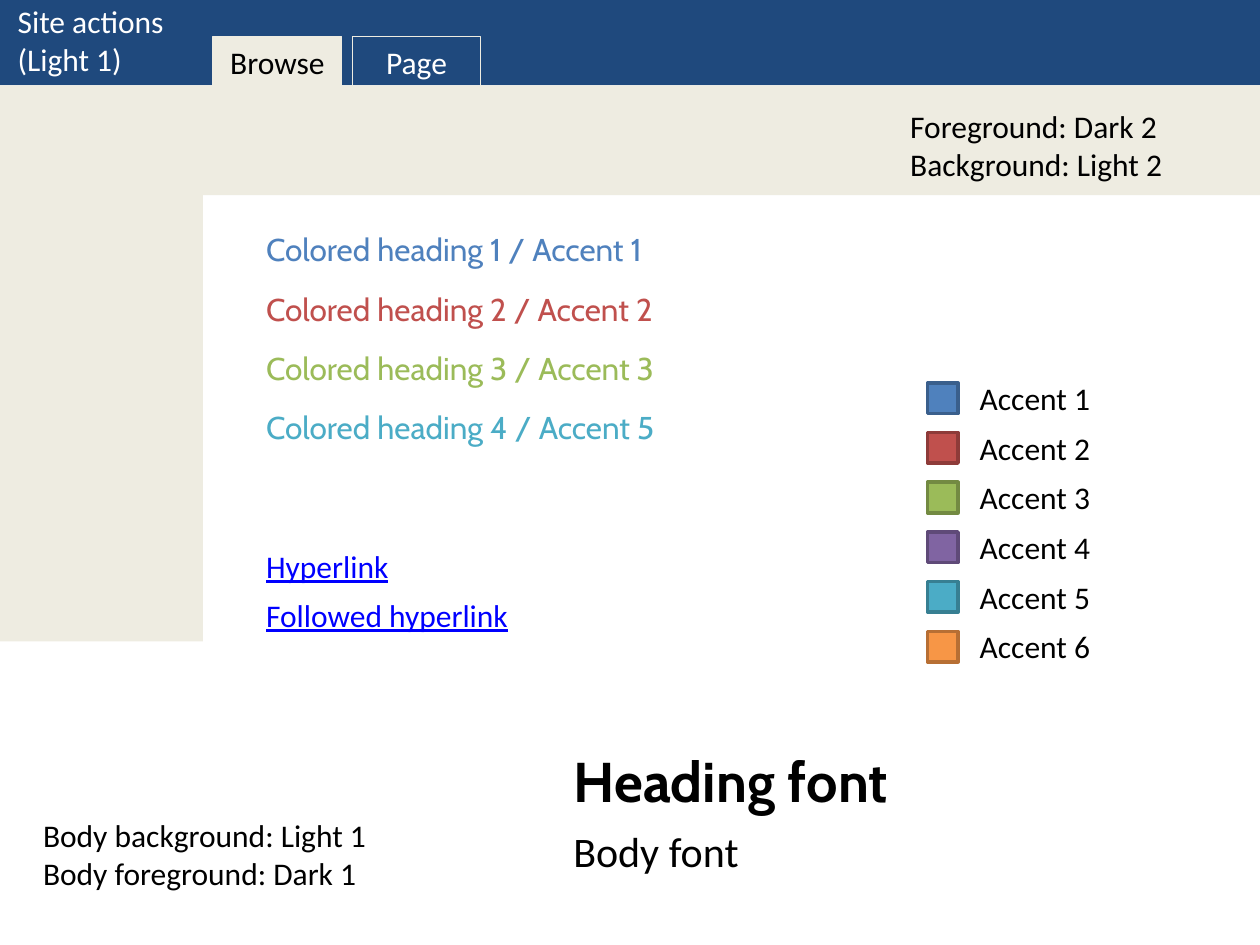
from pptx import Presentation
from pptx.dml.color import RGBColor
from pptx.enum.shapes import MSO_SHAPE as SHAPE
from pptx.enum.text import MSO_ANCHOR as ANCHOR, MSO_AUTO_SIZE as FIT, PP_ALIGN as ALIGN
from pptx.util import Pt

BODY, HEADING = "Calibri", "Cabin"
COLORS = {
    "dark1": "000000", "light1": "FFFFFF", "dark2": "1F497D", "light2": "EEECE1",
    "accent1": "4F81BD", "accent2": "C0504D", "accent3": "9BBB59",
    "accent4": "8064A2", "accent5": "4BACC6", "accent6": "F79646",
    "edge1": "3A5F8C", "edge2": "8E3B39", "edge3": "738A42",
    "edge4": "5F4A78", "edge5": "377F92", "edge6": "B76F34",
    "link": "0000FF",
}

# Boxes are (left, top, width, height) in points
BANDS = [
    ("dark2", (0, 0, 720, 48.75)),
    ("light2", (0, 48.75, 720, 62.75)),
    ("light2", (0, 111.5, 116, 255)),
]
NOTES = [
    (["Foreground: Dark 2", "Background: Light 2"], "dark1", (513, 57.5, 176, 51)),
    (["Site actions", "(Light 1)"], "light1", (3, -2.25, 102, 51)),
    (["Body background: Light 1", "Body foreground: Dark 1"], "dark1", (17.5, 463, 275, 51)),
]
HEADINGS = [
    ("Colored heading 1 / Accent 1", "accent1"),
    ("Colored heading 2 / Accent 2", "accent2"),
    ("Colored heading 3 / Accent 3", "accent3"),
    ("Colored heading 4 / Accent 5", "accent5"),
]
LINKS = ["Hyperlink", "Followed hyperlink"]
TABS = [("Browse", "light2", "dark1"), ("Page", None, "light1")]
ACCENT_COUNT = 6

ROW = 29
COLUMN_LEFT = 145
HEADING_TOP, HEADING_STEP = 128, 33.9
LINK_TOP, LINK_STEP = 308.75, 28.25
LEGEND_TOP, LEGEND_STEP = 213, 28.4
TAB_LEFT, TAB_STEP = 121.75, 79.5


def rgb(name):
    """Return the named colour."""
    return RGBColor.from_string(COLORS[name])


def place(sp, box):
    """Move and size a shape."""
    sp.left, sp.top, sp.width, sp.height = map(Pt, box)


def write(sp, lines, color, size=18, font=BODY, bold=False, underline=False,
          align=ALIGN.LEFT, anchor=ANCHOR.TOP):
    """Fill a shape with one formatted run per line."""
    tf = sp.text_frame
    tf.word_wrap = True
    tf.auto_size = FIT.NONE
    tf.vertical_anchor = anchor
    for i, line in enumerate(lines):
        p = tf.add_paragraph() if i else tf.paragraphs[0]
        p.alignment = align
        r = p.add_run()
        r.text = line
        r.font.name, r.font.size = font, Pt(size)
        r.font.bold, r.font.underline = bold, underline
        r.font.color.rgb = rgb(color)


def add_text(shapes, lines, color, box, **style):
    """Add a text box."""
    write(shapes.add_textbox(*map(Pt, box)), lines, color, **style)


def add_rect(shapes, box, fill=None, line=None, width=0.75):
    """Add a rectangle with optional fill and outline."""
    sp = shapes.add_shape(SHAPE.RECTANGLE, *map(Pt, box))
    sp.shadow.inherit = False
    if fill:
        sp.fill.solid()
        sp.fill.fore_color.rgb = rgb(fill)
    else:
        sp.fill.background()
    if line:
        sp.line.color.rgb = rgb(line)
        sp.line.width = Pt(width)
    else:
        sp.line.fill.background()
    return sp


prs = Presentation()
prs.slide_width, prs.slide_height = Pt(720), Pt(540)
s = prs.slides.add_slide(prs.slide_layouts[5])
title = s.shapes.title
place(title, (320.5, 422.75, 238, 46))
write(title, ["Heading font"], "dark1", size=32, font=HEADING, bold=True)

legend = s.shapes.add_group_shape().shapes
for i in range(ACCENT_COUNT):
    top, n = LEGEND_TOP + i * LEGEND_STEP, i + 1
    add_rect(legend, (530, top + 5.75, 17.5, 17.5), f"accent{n}", f"edge{n}", 2)
    add_text(legend, [f"Accent {n}"], "dark1", (552.75, top, 85, ROW))

for fill, box in BANDS:
    add_rect(s.shapes, box, fill)

for lines, color, box in NOTES:
    add_text(s.shapes, lines, color, box)

for i, (text, color) in enumerate(HEADINGS):
    add_text(s.shapes, [text], color,
             (COLUMN_LEFT, HEADING_TOP + i * HEADING_STEP, 238, ROW), font=HEADING)

for i, (text, fill, color) in enumerate(TABS):
    tab = add_rect(s.shapes, (TAB_LEFT + i * TAB_STEP, 20.75, 73.5, ROW), fill, "light2")
    write(tab, [text], color, align=ALIGN.CENTER)

for i, text in enumerate(LINKS):
    add_text(s.shapes, [text], "link",
             (COLUMN_LEFT, LINK_TOP + i * LINK_STEP, 227, ROW), underline=True)

add_text(s.shapes, ["Body font"], "dark1", (320.5, 468, 238, 36), size=24)

prs.save("out.pptx")
